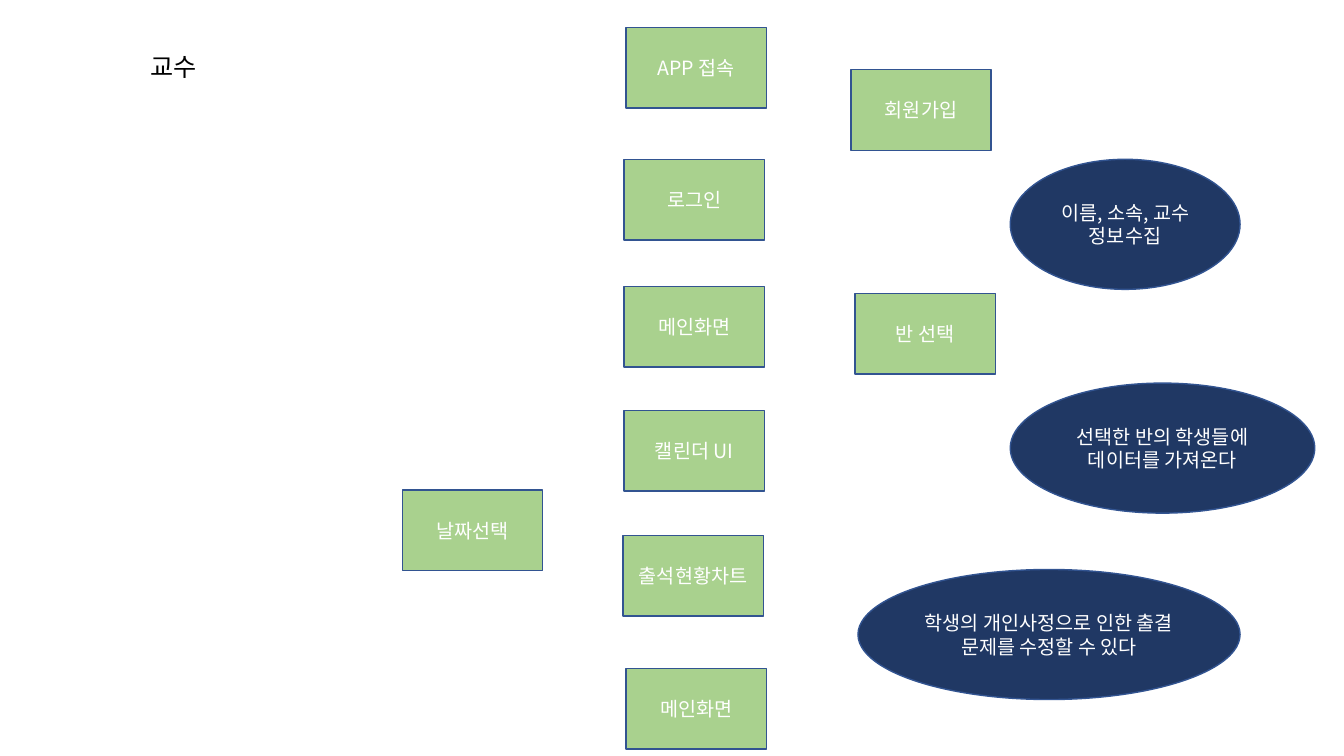
from dataclasses import dataclass

from lxml import etree
from pptx import Presentation
from pptx.dml.color import RGBColor
from pptx.enum.shapes import MSO_SHAPE
from pptx.enum.text import MSO_ANCHOR, PP_ALIGN
from pptx.oxml.ns import qn
from pptx.util import Inches, Pt

RECT = MSO_SHAPE.RECTANGLE
OVAL = MSO_SHAPE.FLOWCHART_CONNECTOR
TOP, MIDDLE = MSO_ANCHOR.TOP, MSO_ANCHOR.MIDDLE
LEFT, CENTER = PP_ALIGN.LEFT, PP_ALIGN.CENTER
TITLE_ONLY = 5


@dataclass(frozen=True)
class Theme:
    font: str = "Noto Sans CJK KR"
    title_size: int = 18
    body_size: int = 14
    line_width: int = 1
    title: str = "000000"
    text: str = "FFFFFF"
    line: str = "325491"
    step: str = "A9D18E"
    note: str = "203864"


@dataclass(frozen=True)
class Node:
    """A labelled shape; lengths are percentages of the slide's size."""
    text: str
    x: float
    y: float
    w: float = 10.43
    h: float = 10.67


THEME = Theme()
TITLE = Node("교수", 10.43, 6.13, 7.5, 5.33)
NOTE_H = 17.2

STEPS = [
    Node("APP 접속", 46.59, 3.6),
    Node("회원가입", 63.32, 9.2),
    Node("로그인", 46.44, 21.07),
    Node("메인화면", 46.44, 37.87),
    Node("반 선택", 63.62, 38.8),
    Node("캘린더 UI", 46.44, 54.27),
    Node("날짜선택", 29.93, 64.8),
    Node("출석현황차트", 46.36, 70.8),
    Node("메인화면", 46.59, 88.4),
]
NOTES = [
    Node("이름, 소속, 교수 정보수집", 75.17, 21.07, 17.1, NOTE_H),
    Node("선택한 반의 학생들에 데이터를 가져온다", 75.17, 50.67, 22.66, NOTE_H),
    Node("학생의 개인사정으로 인한 출결 문제를 수정할 수 있다",
         63.84, 75.33, 28.43, NOTE_H),
]


def frame(prs, node: Node) -> list[int]:
    """Left, top, width and height of a node in EMU."""
    return [round(share * size / 100) for share, size in (
        (node.x, prs.slide_width), (node.y, prs.slide_height),
        (node.w, prs.slide_width), (node.h, prs.slide_height))]


def write(sp, text: str, size: int, color: str, align, anchor) -> None:
    tf = sp.text_frame
    tf.word_wrap = True
    tf.vertical_anchor = anchor
    p = tf.paragraphs[0]
    p.alignment = align
    r = p.add_run()
    r.text = text
    for name, value in {"name": THEME.font, "size": Pt(size), "bold": False}.items():
        setattr(r.font, name, value)
    r.font.color.rgb = RGBColor.from_string(color)
    etree.SubElement(r._r.get_or_add_rPr(), qn("a:ea"), typeface=THEME.font)


def draw_title(prs, slide) -> None:
    sp = slide.shapes.title
    for name, value in zip(("left", "top", "width", "height"), frame(prs, TITLE)):
        setattr(sp, name, value)
    write(sp, TITLE.text, THEME.title_size, THEME.title, LEFT, TOP)
    sp.text_frame.paragraphs[0].line_spacing = 1.0


def draw_node(prs, slide, node: Node, kind, fill: str) -> None:
    sp = slide.shapes.add_shape(kind, *frame(prs, node))
    sp.shadow.inherit = False
    sp.fill.solid()
    sp.fill.fore_color.rgb = RGBColor.from_string(fill)
    sp.line.color.rgb = RGBColor.from_string(THEME.line)
    sp.line.width = Pt(THEME.line_width)
    write(sp, node.text, THEME.body_size, THEME.text, CENTER, MIDDLE)


def main() -> None:
    prs = Presentation()
    prs.slide_width, prs.slide_height = Inches(13.33), Inches(7.5)
    slide = prs.slides.add_slide(prs.slide_layouts[TITLE_ONLY])
    draw_title(prs, slide)
    for nodes, kind, fill in ((STEPS, RECT, THEME.step), (NOTES, OVAL, THEME.note)):
        for node in nodes:
            draw_node(prs, slide, node, kind, fill)
    prs.save("out.pptx")


if __name__ == "__main__":
    main()
